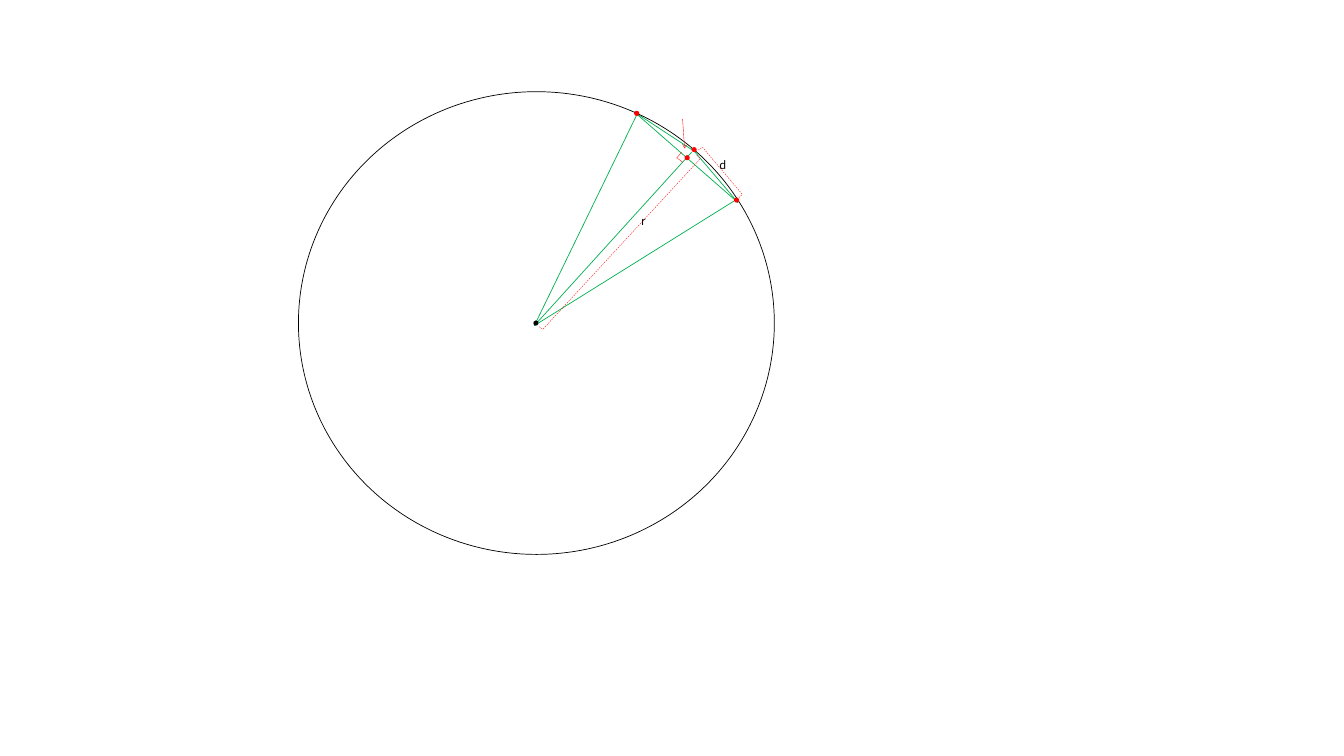
import pptx
import pptx.util
import pptx.dml.color
import pptx.enum.dml
import pptx.enum.shapes
import pptx.enum.text
import pptx.oxml.ns
import lxml.etree

# Grid of the slide: all places below are columns and rows
COLS, ROWS = 1333, 750
WIDE, HIGH = pptx.util.Inches(13.33), pptx.util.Inches(7.5)

THEME = {
    "black": "000000", "red": "FF0000", "green": "00B050",
    "font": "Noto Sans CJK KR", "size": 8, "thin": 0.5, "hair": 0.25,
}

DOT = 5
CIRCLE = (296, 91, 472, 459)
HUB = (530, 323)
RAYS = [(633, 111), (686, 151), (732, 197)]
CHORDS = [[(732, 201), (629, 111)], [(686, 147), (732, 201)],
          [(690, 151), (629, 111)]]
DOTS = [((686, 146), "red"), ((728, 196), "red"), ((629, 110), "red"),
        ((529, 318), "black"), ((679, 154), "red")]
SPANS = [((612, 125, 5, 231), 42.7), ((712, 140, 5, 62), 319.7)]
LABELS = [("r", (631, 209, 14, 24)), ("d", (710, 153, 14, 24))]
TIP = (679, 147)
MARKS = [[(676, 151), (671, 157)], [(672, 157), (677, 161)],
         [(677, 118), TIP], [(681, 144), TIP], [TIP, (677, 143)]]

KIND = pptx.enum.shapes.MSO_SHAPE


def color(name):
    return pptx.dml.color.RGBColor.from_string(THEME[name])


def place(*cells):
    """Turn alternating columns and rows into slide lengths."""
    return [round(c * (HIGH / ROWS if i % 2 else WIDE / COLS))
            for i, c in enumerate(cells)]


def pen(line, ink, width):
    line.color.rgb = color(ink)
    line.width = pptx.util.Pt(THEME[width])


def rule(slide, start, end, ink, width):
    line = slide.shapes.add_connector(
        pptx.enum.shapes.MSO_CONNECTOR.STRAIGHT, *place(*start, *end))
    pen(line.line, ink, width)
    lxml.etree.SubElement(line._element.spPr, pptx.oxml.ns.qn("a:effectLst"))


def shape(slide, kind, box, fill=None, ink=None, width="thin"):
    item = slide.shapes.add_shape(kind, *place(*box))
    item.shadow.inherit = False
    if fill:
        item.fill.solid()
        item.fill.fore_color.rgb = color(fill)
    else:
        item.fill.background()
    if ink:
        pen(item.line, ink, width)
    else:
        item.line.fill.background()
    return item


def write(slide, text, box, size=THEME["size"], ink="black"):
    frame = slide.shapes.add_textbox(*place(*box)).text_frame
    frame.word_wrap = False
    frame.auto_size = pptx.enum.text.MSO_AUTO_SIZE.SHAPE_TO_FIT_TEXT
    frame.margin_left = frame.margin_right = 0
    frame.margin_top = frame.margin_bottom = pptx.util.Inches(0.04)
    par = frame.paragraphs[0]
    par.alignment = pptx.enum.text.PP_ALIGN.CENTER
    run = par.add_run()
    run.text = text
    run.font.name = THEME["font"]
    run.font.size = pptx.util.Pt(size)
    run.font.color.rgb = color(ink)


def main():
    deck = pptx.Presentation()
    deck.slide_width, deck.slide_height = WIDE, HIGH
    slide = deck.slides.add_slide(deck.slide_layouts[6])

    for start, end in [(ray, HUB) for ray in RAYS] + CHORDS:
        rule(slide, start, end, "green", "thin")
    shape(slide, KIND.OVAL, CIRCLE, ink="black")
    for spot, fill in DOTS:
        shape(slide, KIND.OVAL, (*spot, DOT, DOT), fill=fill)
    for box, turn in SPANS:
        span = shape(slide, KIND.RIGHT_BRACKET, box, ink="red", width="hair")
        span.rotation = turn
        span.line.dash_style = pptx.enum.dml.MSO_LINE.DASH
    for text, box in LABELS:
        write(slide, text, box)
    for start, end in MARKS:
        rule(slide, start, end, "red", "hair")

    deck.save("out.pptx")


if __name__ == "__main__":
    main()
